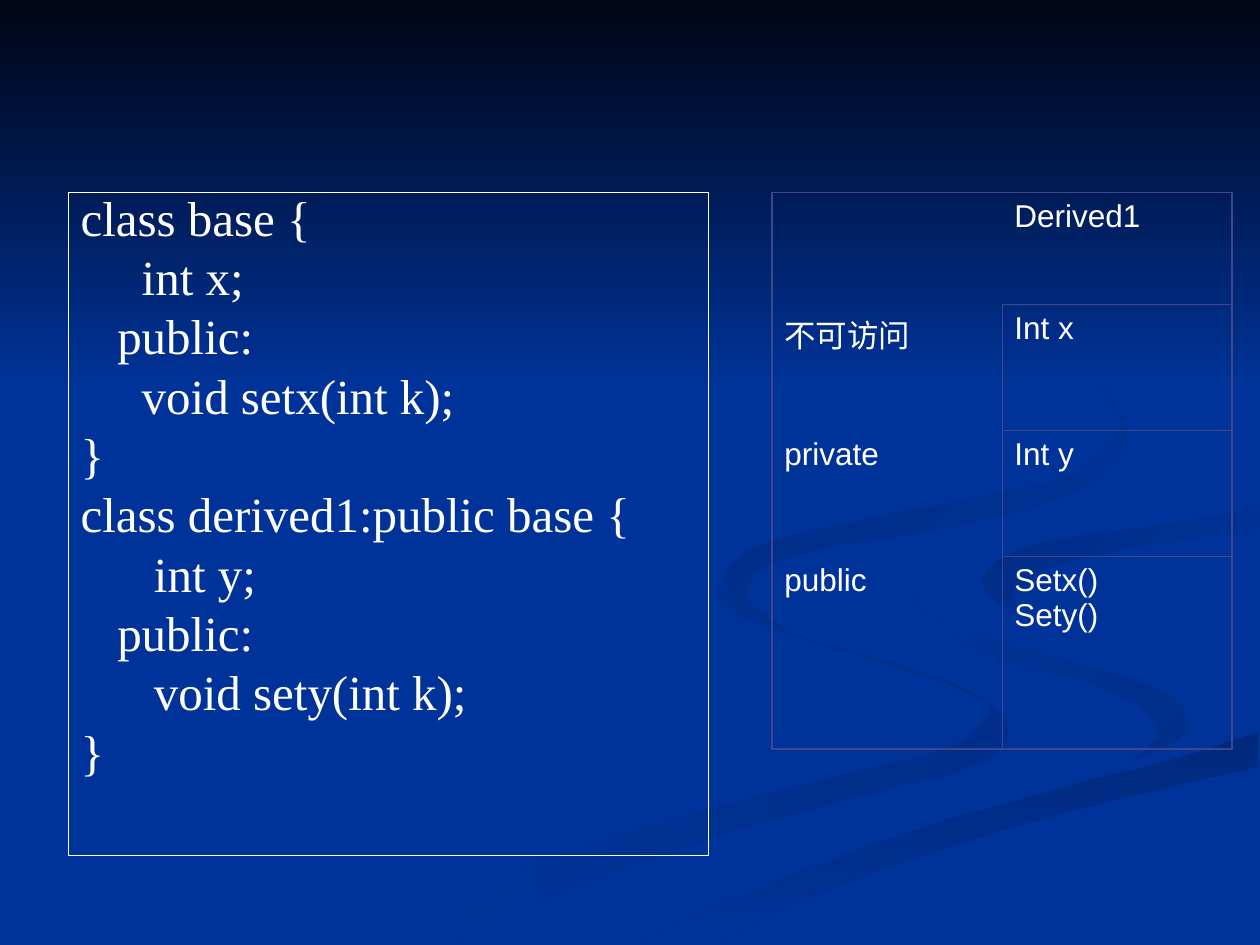
"""Build a slide with two C++ classes and a table of member access in the derived class."""
from lxml.etree import SubElement
from pptx import Presentation
from pptx.dml.color import RGBColor
from pptx.enum.shapes import MSO_SHAPE
from pptx.enum.text import MSO_ANCHOR, PP_ALIGN
from pptx.oxml.ns import qn
from pptx.util import Pt

WHITE, BLUE, NAVY, PURPLE = "FFFFFF", "003399", "000514", "40458C"
WIDTH, HEIGHT = 720, 540
TOP = 110
OUTER, INNER, NONE = 0.96, 0.45, 0
STEPS = 6


def rgb(value):
    return RGBColor.from_string(value)


def write(tf, text, size=18, font="Arial", color=WHITE, spacing=None, before=0):
    tf.word_wrap = True
    tf.vertical_anchor = MSO_ANCHOR.TOP
    for i, line in enumerate(text.split("\n")):
        p = tf.paragraphs[0] if i == 0 else tf.add_paragraph()
        p.alignment = PP_ALIGN.LEFT
        p.line_spacing = spacing
        p.space_before = Pt(before if i else 0)
        r = p.add_run()
        r.text = line
        r.font.size = Pt(size)
        r.font.name = font
        r.font.color.rgb = rgb(color)


prs = Presentation()
prs.slide_width, prs.slide_height = Pt(WIDTH), Pt(HEIGHT)
s = prs.slides.add_slide(prs.slide_layouts[6])
s.background.fill.solid()
s.background.fill.fore_color.rgb = rgb(BLUE)

# Each station pairs a point on one ribbon edge with its partner on the other: x1, y1, x2, y2.
far_ribbon = [
    (414, 330, 414, 330), (410, 340, 415, 338), (427, 354, 428, 349), (471, 369, 462, 365),
    (524, 385, 515, 380), (554, 397, 552, 394), (565, 407, 575, 413), (539, 428, 562, 436),
    (469, 446, 487, 456), (359, 476, 406, 479), (271, 509, 310, 514), (216, 539, 260, 539),
]
inner_bend = [
    (521, 334, 521, 334), (528, 348, 526, 348), (570, 366, 562, 373), (626, 382, 615, 388),
    (662, 394, 648, 401), (679, 410, 661, 417), (671, 424, 656, 427), (644, 436, 644, 436),
]
lower_band = [
    (362, 539, 411, 539), (410, 518, 442, 523), (501, 482, 500, 498),
    (598, 453, 591, 469), (674, 433, 650, 454), (719, 418, 719, 438),
]
right_bend = [
    (719, 289, 719, 302), (672, 299, 674, 309), (611, 307, 632, 316), (575, 318, 596, 326),
    (562, 331, 580, 340), (570, 344, 582, 348), (595, 357, 595, 357),
]
upper_swirl = [
    (549, 168, 549, 168), (583, 184, 580, 183), (622, 210, 609, 201), (644, 248, 640, 241),
    (631, 272, 620, 266), (594, 289, 589, 278), (532, 303, 507, 294), (467, 314, 443, 309),
    (436, 325, 420, 321), (427, 338, 415, 333), (430, 346, 425, 348), (448, 360, 448, 360),
]
ribbons = [
    (far_ribbon, "002E8A", BLUE, 180),
    (inner_bend, "002E8A", BLUE, 135),
    (lower_band, "00297C", BLUE, 270),
    (right_bend, BLUE, "002C85", 135),
    (upper_swirl, BLUE, "002B81", 135),
]

shaded = []
for stations, start, end, angle in ribbons:
    padded = [stations[0], *stations, stations[-1]]
    smooth = []
    for quad in zip(padded, padded[1:], padded[2:], padded[3:]):
        for step in range(STEPS):
            t = step / STEPS
            smooth.append([
                b + t / 2 * (c - a + t * (2 * a - 5 * b + 4 * c - d + t * (3 * (b - c) + d - a)))
                for a, b, c, d in zip(*quad)
            ])
    smooth.append(stations[-1])
    near_edge = [(x, y) for x, y, _, _ in smooth]
    far_edge = [(x, y) for _, _, x, y in smooth]
    outline = near_edge + far_edge[::-1]
    builder = s.shapes.build_freeform(*outline[0], scale=Pt(1))
    builder.add_line_segments(outline[1:], close=True)
    shaded.append((builder.convert_to_shape(), start, end, angle))

top_shade = s.shapes.add_shape(MSO_SHAPE.RECTANGLE, 0, 0, Pt(WIDTH), Pt(222))
shaded.append((top_shade, NAVY, BLUE, 270))

for sp, start, end, angle in shaded:
    sp.shadow.inherit = False
    sp.line.fill.background()
    sp.fill.gradient()
    sp.fill.gradient_angle = angle
    for stop, color in zip(sp.fill.gradient_stops, (start, end)):
        stop.color.rgb = rgb(color)

members = [
    ("", "Derived1", 64),
    ("不可访问", "Int x", 72),
    ("private", "Int y", 72),
    ("public", "Setx()\nSety()", 110),
]
table_height = sum(height for _, _, height in members)
table = s.shapes.add_table(len(members), 2, Pt(441), Pt(TOP), Pt(263), Pt(table_height)).table
table.first_row = table.horz_banding = False
for col in table.columns:
    col.width = Pt(131.5)
for i, (access, member, height) in enumerate(members):
    table.rows[i].height = Pt(height)
    for j, text in enumerate((access, member)):
        cell = table.cell(i, j)
        if text:
            write(cell.text_frame, text)
        upright = INNER if i > 0 else NONE
        level = INNER if j > 0 else NONE
        borders = {
            "a:lnL": OUTER if j == 0 else upright,
            "a:lnR": OUTER if j == 1 else upright,
            "a:lnT": OUTER if i == 0 else level,
            "a:lnB": OUTER if i == len(members) - 1 else level,
        }
        tcPr = cell._tc.get_or_add_tcPr()
        for tag, width in borders.items():
            ln = SubElement(tcPr, qn(tag), w=str(Pt(width)))
            if width:
                fill = SubElement(ln, qn("a:solidFill"))
                SubElement(fill, qn("a:srgbClr"), val=PURPLE)
            else:
                SubElement(ln, qn("a:noFill"))
        cell.fill.background()

code = """class base {
     int x;
   public:
     void setx(int k);
}
class derived1:public base {
      int y;
   public:
      void sety(int k);
}"""
code_box = s.shapes.add_shape(MSO_SHAPE.RECTANGLE, Pt(39), Pt(TOP), Pt(366), Pt(379))
code_box.shadow.inherit = False
code_box.fill.background()
code_box.line.color.rgb = rgb(WHITE)
code_box.line.width = Pt(0.75)
write(code_box.text_frame, code, size=28, font="Times New Roman", spacing=0.8, before=7)

prs.save("out.pptx")
